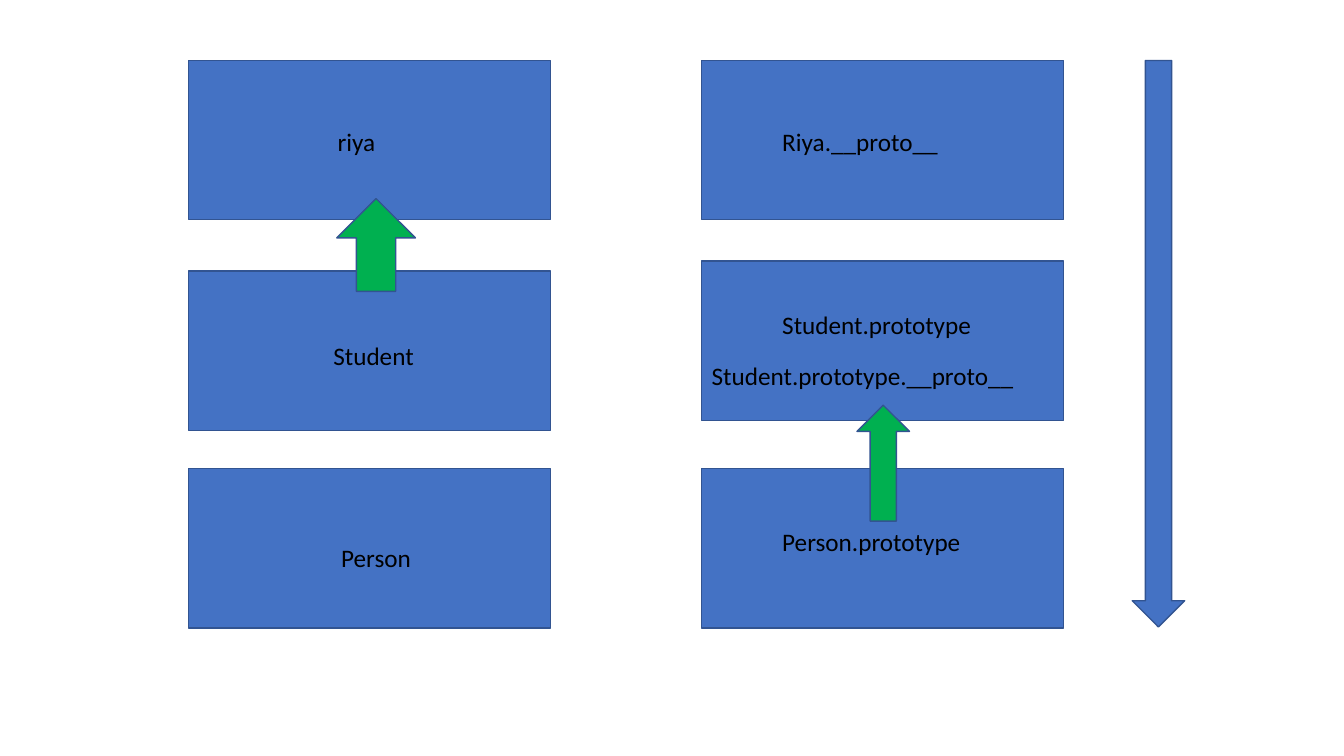
from dataclasses import dataclass

from pptx import Presentation
from pptx.dml.color import RGBColor
from pptx.enum.shapes import MSO_SHAPE
from pptx.enum.text import MSO_AUTO_SIZE, PP_ALIGN
from pptx.util import Inches, Pt


@dataclass(frozen=True)
class Theme:
    blue: str = "4472C4"
    edge: str = "325491"
    green: str = "00B050"
    ink: str = "000000"
    font: str = "Calibri"
    size: int = 18
    line: int = 1


THEME = Theme()
BOX_W, BOX_H = 3.59, 1.58
TEXT_H = 0.4


def add_block(slide, kind, box, fill):
    """Draw an outlined shape in box (left, top, width, height)."""
    shape = slide.shapes.add_shape(kind, *map(Inches, box))
    shape.shadow.inherit = False
    shape.fill.solid()
    shape.fill.fore_color.rgb = RGBColor.from_string(fill)
    shape.line.color.rgb = RGBColor.from_string(THEME.edge)
    shape.line.width = Pt(THEME.line)


def add_label(slide, text, left, top, width, align):
    label = slide.shapes.add_textbox(*map(Inches, (left, top, width, TEXT_H)))
    frame = label.text_frame
    frame.word_wrap = True
    frame.auto_size = MSO_AUTO_SIZE.SHAPE_TO_FIT_TEXT
    para = frame.paragraphs[0]
    para.alignment = align
    run = para.add_run()
    run.text = text
    run.font.name = THEME.font
    run.font.size = Pt(THEME.size)
    run.font.color.rgb = RGBColor.from_string(THEME.ink)


def add_column(slide, left, rows, align, arrow):
    """Stack boxes from left; labels are offset from their box, the arrow from left."""
    for top, labels in rows:
        add_block(slide, MSO_SHAPE.RECTANGLE, (left, top, BOX_W, BOX_H), THEME.blue)
        for text, dx, dy, width in labels:
            add_label(slide, text, left + dx, top + dy, width, align)
    dx, top, width, height = arrow
    add_block(slide, MSO_SHAPE.UP_ARROW, (left + dx, top, width, height), THEME.green)


def main():
    deck = Presentation()
    deck.slide_width, deck.slide_height = Inches(13.33), Inches(7.5)
    slide = deck.slides.add_slide(deck.slide_layouts[6])

    # Objects: instance and constructors
    objects = [
        (0.6, [("riya", 0.43, 0.6, 2.47)]),
        (2.69, [("Student", 0.43, 0.64, 2.81)]),
        (4.65, [("Person", 0.82, 0.68, 2.08)]),
    ]
    add_column(slide, 1.87, objects, PP_ALIGN.CENTER, (1.47, 1.97, 0.78, 0.92))

    # Prototypes of those objects
    protos = [
        (0.6, [("Riya.__proto__", 0.7, 0.6, 2.25)]),
        (2.59, [("Student.prototype", 0.7, 0.43, 2.25),
                ("Student.prototype.__proto__", 0, 0.94, BOX_W)]),
        (4.65, [("Person.prototype", 0.7, 0.52, 2.42)]),
    ]
    add_column(slide, 6.96, protos, PP_ALIGN.LEFT, (1.54, 4.02, 0.52, 1.15))

    # Lookup direction
    add_block(slide, MSO_SHAPE.DOWN_ARROW, (11.23, 0.6, 0.52, 5.62), THEME.blue)

    deck.save("out.pptx")


if __name__ == "__main__":
    main()
